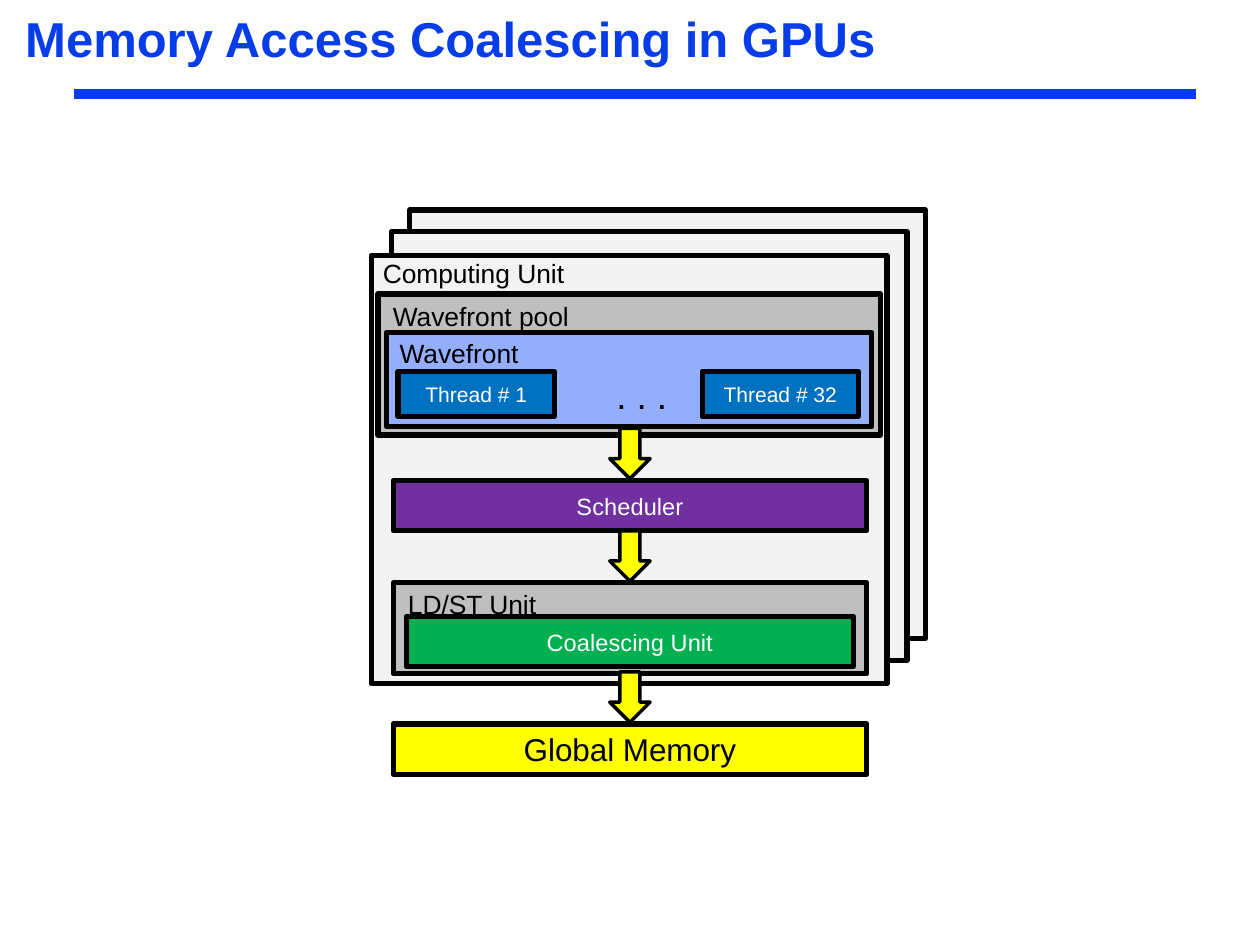
from pptx import Presentation
from pptx.dml.color import RGBColor
from pptx.enum.shapes import MSO_CONNECTOR, MSO_SHAPE
from pptx.enum.text import MSO_ANCHOR, MSO_AUTO_SIZE, PP_ALIGN
from pptx.oxml.ns import qn
from pptx.util import Inches, Pt
from lxml import etree

RECT, DOWN = MSO_SHAPE.RECTANGLE, MSO_SHAPE.DOWN_ARROW
LINE = MSO_CONNECTOR.STRAIGHT
TOP, MIDDLE = MSO_ANCHOR.TOP, MSO_ANCHOR.MIDDLE
LEFT, CENTER = PP_ALIGN.LEFT, PP_ALIGN.CENTER
FIT, FIXED = MSO_AUTO_SIZE.SHAPE_TO_FIT_TEXT, MSO_AUTO_SIZE.NONE

BLUE = RGBColor(0x06, 0x3D, 0xE8)
BLACK = RGBColor(0, 0, 0)
WHITE = RGBColor(0xFF, 0xFF, 0xFF)
PALE = RGBColor(0xF2, 0xF2, 0xF2)
GRAY = RGBColor(0xBF, 0xBF, 0xBF)
SKY = RGBColor(0x95, 0xAE, 0xFC)
AZURE = RGBColor(0, 0x70, 0xC0)
PURPLE = RGBColor(0x70, 0x30, 0xA0)
GREEN = RGBColor(0, 0xB0, 0x50)
YELLOW = RGBColor(0xFF, 0xFF, 0)


def write(frame, text, size=11.25, color=BLACK, bold=False, align=LEFT,
          anchor=TOP, wrap=True, fit=FIXED):
    """Put one formatted paragraph in a text frame."""
    frame.auto_size = fit
    frame.word_wrap = wrap
    frame.vertical_anchor = anchor
    para = frame.paragraphs[0]
    para.alignment = align
    run = para.add_run()
    run.text = text
    font = run.font
    font.name, font.size, font.bold = "Arial", Pt(size), bold
    font.color.rgb = color
    return para


def block(slide, x, y, w, h, fill, text="", kind=RECT, weight=2.25, **style):
    """Add an outlined shape, with centred text if given."""
    shape = slide.shapes.add_shape(kind, Inches(x), Inches(y), Inches(w), Inches(h))
    shape.shadow.inherit = False
    shape.fill.solid()
    shape.fill.fore_color.rgb = fill
    shape.line.color.rgb = BLACK
    shape.line.width = Pt(weight)
    if text:
        write(shape.text_frame, text, align=CENTER, anchor=MIDDLE, **style)


def label(slide, x, y, w, text, h=0.29, **style):
    """Add an unwrapped text box."""
    box = slide.shapes.add_textbox(Inches(x), Inches(y), Inches(w), Inches(h))
    write(box.text_frame, text, wrap=False, fit=FIT, **style)


def arrow(slide, y):
    """Add a yellow arrow on the centre line of the flow."""
    block(slide, 3.63, y, 0.24, 0.3, YELLOW, kind=DOWN, weight=1.5)


def head(slide, text):
    """Fill the title and draw the rule below it."""
    title = slide.shapes.title
    title.left, title.top = Inches(0.08), Inches(0.07)
    title.width, title.height = Inches(7.34), Inches(0.82)
    frame = title.text_frame
    frame.margin_left = frame.margin_right = Inches(0.07)
    frame.margin_top = frame.margin_bottom = Inches(0.03)
    write(frame, text, size=21, color=BLUE, bold=True).line_spacing = 0.87
    rule = slide.shapes.add_connector(
        LINE, Inches(0.44), Inches(0.56), Inches(7.12), Inches(0.56))
    rule.line.color.rgb = BLUE
    rule.line.width = Pt(4.5)
    etree.SubElement(rule.element.spPr, qn("a:effectLst"))


def pool(slide):
    """Draw the nested wavefront pool with its threads."""
    block(slide, 2.25, 1.75, 2.99, 0.84, GRAY)
    label(slide, 2.24, 1.74, 1.26, "Wavefront pool")
    block(slide, 2.3, 1.98, 2.89, 0.56, SKY)
    label(slide, 2.28, 1.96, 0.92, "Wavefront")
    for x, num in ((2.37, 1), (4.18, 32)):
        block(slide, x, 2.21, 0.93, 0.27, AZURE, f"Thread # {num}",
              size=9, color=WHITE)
    label(slide, 3.57, 2.17, 0.51, ". . .", h=0.37, size=15.75)


def flow(slide):
    """Draw the stages from scheduler to memory."""
    block(slide, 2.34, 2.86, 2.82, 0.3, PURPLE, "Scheduler",
          size=10.13, color=WHITE)
    block(slide, 2.34, 3.47, 2.82, 0.54, GRAY)
    label(slide, 2.33, 3.45, 0.97, "LD/ST Unit")
    for y in (2.55, 3.16, 4):
        arrow(slide, y)
    block(slide, 2.34, 4.31, 2.82, 0.3, YELLOW, "Global Memory", size=13.5)
    block(slide, 2.42, 3.67, 2.66, 0.3, GREEN, "Coalescing Unit",
          size=10.13, color=WHITE)


def main():
    """Build and save the slide."""
    deck = Presentation()
    deck.slide_width = Inches(7.5)
    deck.slide_height = deck.slide_width * 3 // 4
    slide = deck.slides.add_slide(deck.slide_layouts[5])
    head(slide, "Memory Access Coalescing in GPUs")
    for x, y in ((2.44, 1.25), (2.33, 1.38), (2.21, 1.52)):
        block(slide, x, y, 3.07, 2.55, PALE)
    label(slide, 2.18, 1.48, 1.29, "Computing Unit")
    pool(slide)
    flow(slide)
    deck.save("out.pptx")


if __name__ == "__main__":
    main()
